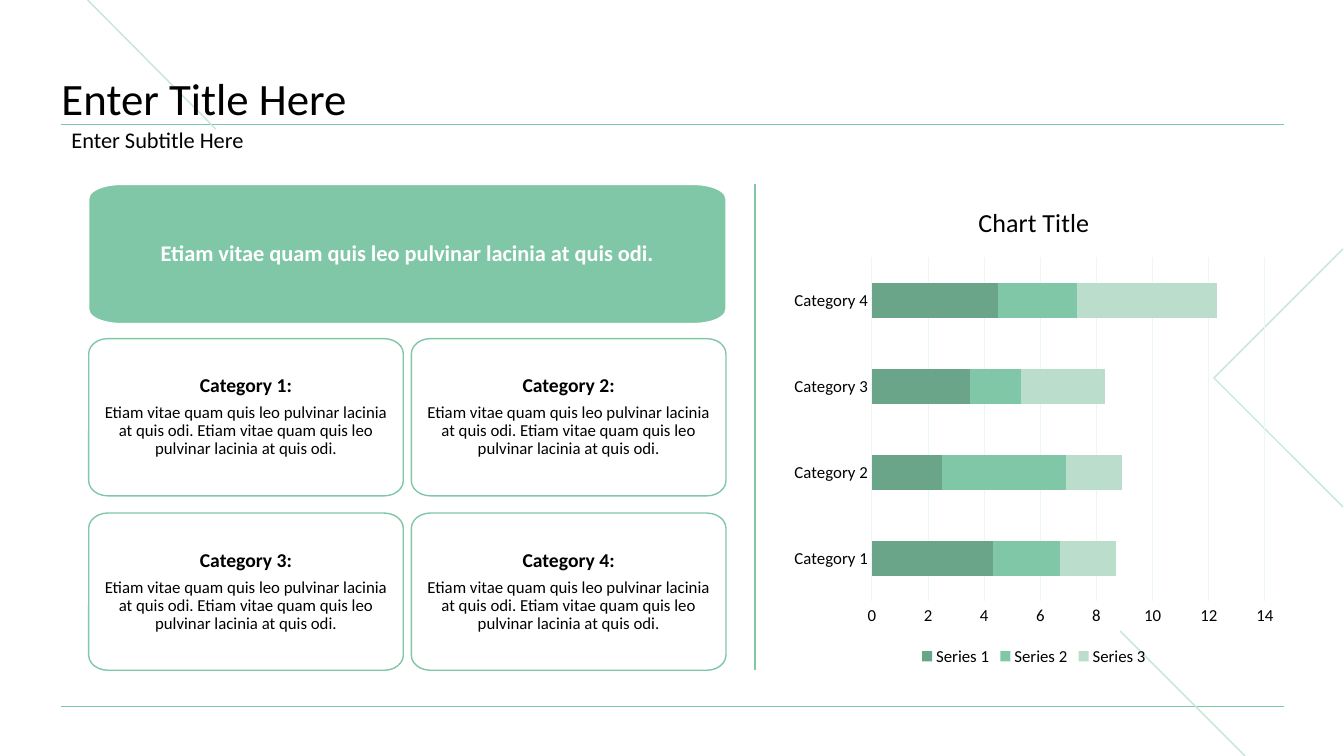
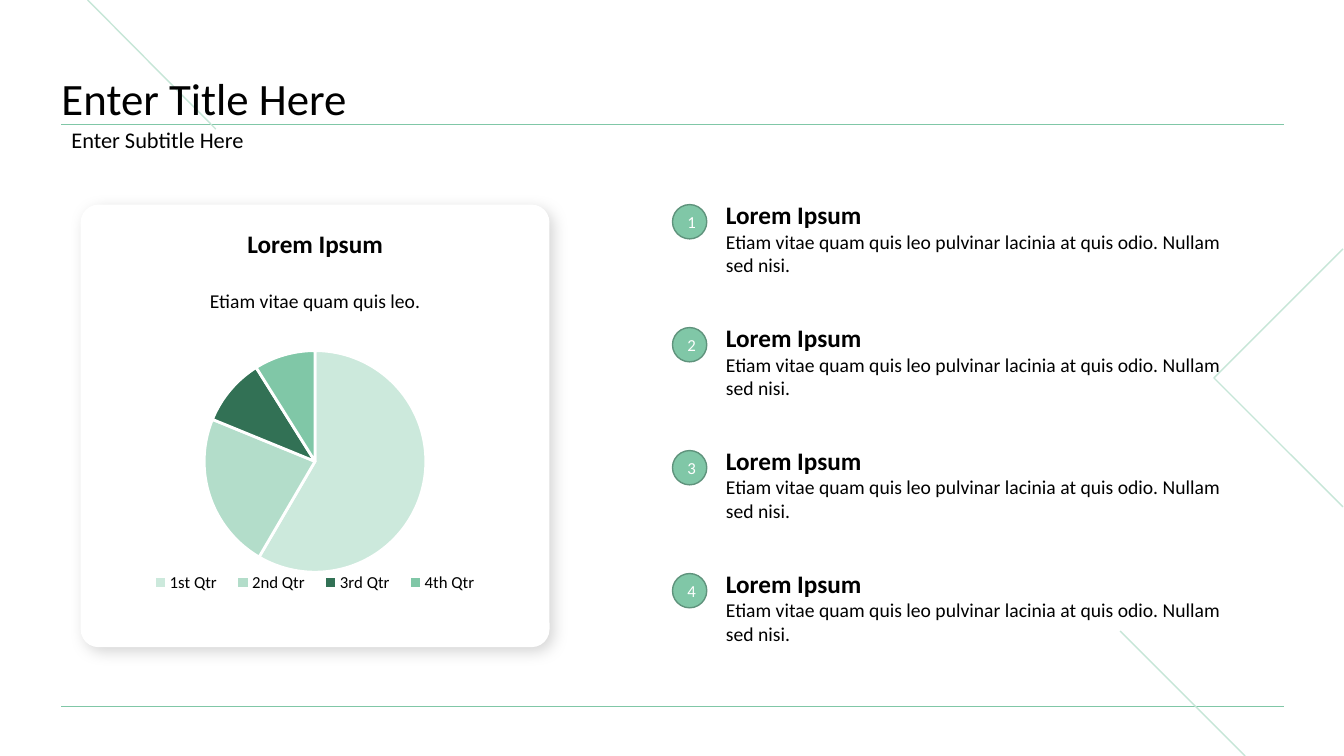
from dataclasses import dataclass

from pptx import Presentation
from pptx import util as u
from pptx.chart import data as cd
from pptx.dml import color as dc
from pptx.enum import chart as ec, shapes, text
from pptx.oxml import parse_xml
from pptx.oxml.ns import nsdecls, qn
from pptx.oxml.xmlchemy import OxmlElement

SCALE = 9144
FONT = "Calibri"
BLACK, WHITE = "000000", "FFFFFF"
GREEN, PALE, MIST, EDGE = "80C7A7", "C6E6D7", "ECF7F2", "5F937C"
BARS = ["6AA58A", GREEN, "BADDCC"]
PIE = ["CCE9DC", "B3DDCA", "327155", GREEN]
LEFT, MID = text.PP_ALIGN.LEFT, text.PP_ALIGN.CENTER
ETIAM = "Etiam vitae quam quis leo pulvinar lacinia at quis odi."
ODIO = "Etiam vitae quam quis leo pulvinar lacinia at quis odio. Nullam sed nisi."


@dataclass
class Box:
    x: int
    y: int
    w: int
    h: int

    def emu(self) -> tuple:
        return tuple(px(v) for v in (self.x, self.y, self.w, self.h))


@dataclass
class Para:
    words: str
    size: float
    bold: bool = False
    color: str = BLACK
    before: int = 0
    after: int = 0


@dataclass
class Line:
    x1: int
    y1: int
    x2: int
    y2: int
    color: str = GREEN
    width: float = 0.5


FRAME = [
    Line(61, 701, 1273, 701),
    Line(61, 123, 1273, 123),
    Line(1111, 626, 1235, 750, PALE, 1),
    Line(87, 0, 214, 128, PALE, 1),
]
CHEVRON = [(1332, 247), (1204, 375), (1332, 503)]


def px(n: float) -> int:
    return round(n * SCALE)


def rgb(code: str) -> dc.RGBColor:
    return dc.RGBColor.from_string(code)


def paint(shape, fill: str | None, edge: str | None, width: float = 1) -> None:
    shape.shadow.inherit = False
    if fill:
        shape.fill.solid()
        shape.fill.fore_color.rgb = rgb(fill)
    else:
        shape.fill.background()
    if edge:
        shape.line.color.rgb = rgb(edge)
        shape.line.width = u.Pt(width)
    else:
        shape.line.fill.background()


def style(font, size: float, color: str = BLACK, bold: bool = False) -> None:
    font.name = FONT
    font.size = u.Pt(size)
    font.bold = bold
    font.color.rgb = rgb(color)


def write(shape, paras: list[Para], pad: tuple[int, int] = (0, 0), align=LEFT,
          anchor=text.MSO_ANCHOR.MIDDLE, gap: float = 1.0) -> None:
    frame = shape.text_frame
    frame.word_wrap = True
    frame.vertical_anchor = anchor
    frame.margin_left = frame.margin_right = px(pad[0])
    frame.margin_top = frame.margin_bottom = px(pad[1])
    frame.text = "\n".join(p.words for p in paras)
    for item, para in zip(paras, frame.paragraphs):
        para.alignment = align
        para.line_spacing = gap
        para.space_before = u.Pt(item.before)
        para.space_after = u.Pt(item.after)
        style(para.runs[0].font, item.size, item.color, item.bold)


def label(slide, box: Box, paras: list[Para], **look) -> None:
    write(slide.shapes.add_textbox(*box.emu()), paras, **look)


def rule(slide, line: Line) -> None:
    ends = [px(v) for v in (line.x1, line.y1, line.x2, line.y2)]
    item = slide.shapes.add_connector(shapes.MSO_CONNECTOR.STRAIGHT, *ends)
    item.line.color.rgb = rgb(line.color)
    item.line.width = u.Pt(line.width)
    item._element.spPr.append(OxmlElement("a:effectLst"))


def outline(slide, points: list, close: bool = True):
    dots = [(px(x), px(y)) for x, y in points]
    pen = slide.shapes.build_freeform(*dots[0], scale=1.0)
    pen.add_line_segments(dots[1:], close=close)
    return pen.convert_to_shape()


def panel(slide, box: Box, rx: int, ry: int):
    right, base = box.x + box.w, box.y + box.h
    shape = outline(slide, [
        (box.x, box.y + ry), (box.x + rx, box.y),
        (right - rx, box.y), (right, box.y + ry),
        (right, base - ry), (right - rx, base),
        (box.x + rx, base), (box.x, base - ry)])
    sides = list(shape._element.iter(qn("a:lnTo")))
    for n, side in enumerate(sides[:7:2]):
        start = (180 + 90 * n) % 360 * 60000
        side.getparent().replace(side, parse_xml(
            f'<a:arcTo {nsdecls("a")} wR="{px(rx)}" hR="{px(ry)}" '
            f'stAng="{start}" swAng="5400000"/>'))
    return shape


def base(deck):
    slide = deck.slides.add_slide(deck.slide_layouts[6])
    for line in FRAME:
        rule(slide, line)
    paint(outline(slide, CHEVRON, False), None, PALE)
    label(slide, Box(61, 44, 1212, 80), [Para("Enter Title Here", 32)],
          anchor=text.MSO_ANCHOR.BOTTOM, gap=0.9)
    label(slide, Box(61, 123, 1212, 34), [Para("Enter Subtitle Here", 16)],
          pad=(10, 5), gap=0.9)
    return slide


def place(part, inner: bool, x: float, y: float, w: float, h: float) -> None:
    for old in part.findall(qn("c:layout")):
        part.remove(old)
    target = '<c:layoutTarget val="inner"/>' if inner else ""
    layout = parse_xml(
        f'<c:layout {nsdecls("c")}><c:manualLayout>{target}'
        f'<c:xMode val="edge"/><c:yMode val="edge"/><c:x val="{x}"/><c:y val="{y}"/>'
        f'<c:w val="{w}"/><c:h val="{h}"/></c:manualLayout></c:layout>')
    part.insert(0 if inner else 1, layout)


def plot(slide, kind, box: Box, cats: list[str], rows: list):
    data = cd.CategoryChartData()
    data.categories = cats
    for name, vals in rows:
        data.add_series(name, vals)
    chart = slide.shapes.add_chart(kind, *box.emu(), data).chart
    style(chart.font, 10)
    chart.has_title = False
    chart.has_legend = True
    chart.legend.position = ec.XL_LEGEND_POSITION.BOTTOM
    chart.legend.include_in_layout = False
    style(chart.legend.font, 12)
    return chart


def bars(slide) -> None:
    chart = plot(slide, ec.XL_CHART_TYPE.BAR_STACKED, Box(778, 183, 495, 482),
                 [f"Category {n}" for n in range(1, 5)],
                 [("Series 1", (4.3, 2.5, 3.5, 4.5)),
                  ("Series 2", (2.4, 4.4, 1.8, 2.8)),
                  ("Series 3", (2, 2, 3, 5))])
    chart.has_title = True
    title = chart.chart_title.text_frame
    title.text = "Chart Title"
    style(title.paragraphs[0].runs[0].font, 18.6)
    group = chart.plots[0]
    group.gap_width, group.overlap = 150, 100
    group.vary_by_categories = False
    for series, color in zip(group.series, BARS):
        series.format.fill.solid()
        series.format.fill.fore_color.rgb = rgb(color)
    cat, val = chart.category_axis, chart.value_axis
    for axis in (cat, val):
        axis.major_tick_mark = axis.minor_tick_mark = ec.XL_TICK_MARK.NONE
        style(axis.tick_labels.font, 12)
    val.minimum_scale, val.maximum_scale, val.major_unit = 0, 14, 2
    val.format.line.fill.background()
    for line in (cat.format.line, val.major_gridlines.format.line):
        line.color.rgb = rgb(MIST)
        line.width = u.Pt(0.75)


def pie(slide) -> None:
    chart = plot(slide, ec.XL_CHART_TYPE.PIE, Box(106, 314, 413, 282),
                 ["1st Qtr", "2nd Qtr", "3rd Qtr", "4th Qtr"],
                 [("Series 1", (59, 23, 10, 9))])
    group = chart.plots[0]
    group.vary_by_categories = True
    for n, color in enumerate(PIE):
        look = group.series[0].points[n].format
        look.fill.solid()
        look.fill.fore_color.rgb = rgb(color)
        look.line.color.rgb = rgb(WHITE)
        look.line.width = u.Pt(2)
    whole = chart._chartSpace.chart
    place(whole.plotArea, True, 0.11, 0.12, 0.78, 0.78)
    place(whole.find(qn("c:legend")), False, 0.08, 0.89, 0.84, 0.09)


def cards(deck) -> None:
    slide = base(deck)
    rule(slide, Line(749, 183, 749, 665, GREEN, 1.5))
    lead = panel(slide, Box(88, 183, 632, 138), 32, 14)
    paint(lead, GREEN, WHITE)
    write(lead, [Para(ETIAM, 16, True, WHITE, after=6)], (9, 7), MID, gap=0.9)
    for n in range(4):
        row, col = divmod(n, 2)
        card = panel(slide, Box(88 + 320 * col, 336 + 173 * row, 312, 156), 19, 15)
        paint(card, WHITE, GREEN)
        write(card, [Para(f"Category {n + 1}:", 14, True, after=5),
                     Para(f"{ETIAM} {ETIAM}", 12, after=4)], (13, 10), MID, gap=0.9)
    bars(slide)


def steps(deck) -> None:
    slide = base(deck)
    card = slide.shapes.add_shape(shapes.MSO_SHAPE.ROUNDED_RECTANGLE,
                                  *Box(80, 203, 465, 439).emu())
    card.adjustments[0] = 0.04
    paint(card, WHITE, None)
    card._element.spPr.find(qn("a:effectLst")).append(parse_xml(
        f'<a:outerShdw {nsdecls("a")} blurRad="{u.Pt(11)}" dist="{u.Pt(4)}" '
        'dir="2700000" algn="tl" rotWithShape="0"><a:srgbClr val="000000">'
        '<a:alpha val="16000"/></a:srgbClr></a:outerShdw>'))
    pie(slide)
    label(slide, Box(165, 222, 295, 93),
          [Para("Lorem Ipsum", 18, True),
           Para("Etiam vitae quam quis leo.", 14, before=22)], pad=(13, 13), align=MID)
    for n in range(4):
        drop = 122 * n
        label(slide, Box(707, 188 + drop, 546, 96),
              [Para("Lorem Ipsum", 18, True), Para(ODIO, 14)], pad=(13, 13))
        disc = slide.shapes.add_shape(shapes.MSO_SHAPE.OVAL,
                                      *Box(667, 203 + drop, 34, 34).emu())
        paint(disc, GREEN, EDGE)
        write(disc, [Para(str(n + 1), 12, color=WHITE)], pad=(10, 5), align=MID)


def main() -> None:
    deck = Presentation()
    deck.slide_width, deck.slide_height = px(1333), px(750)
    cards(deck)
    steps(deck)
    deck.save("out.pptx")


if __name__ == "__main__":
    main()
